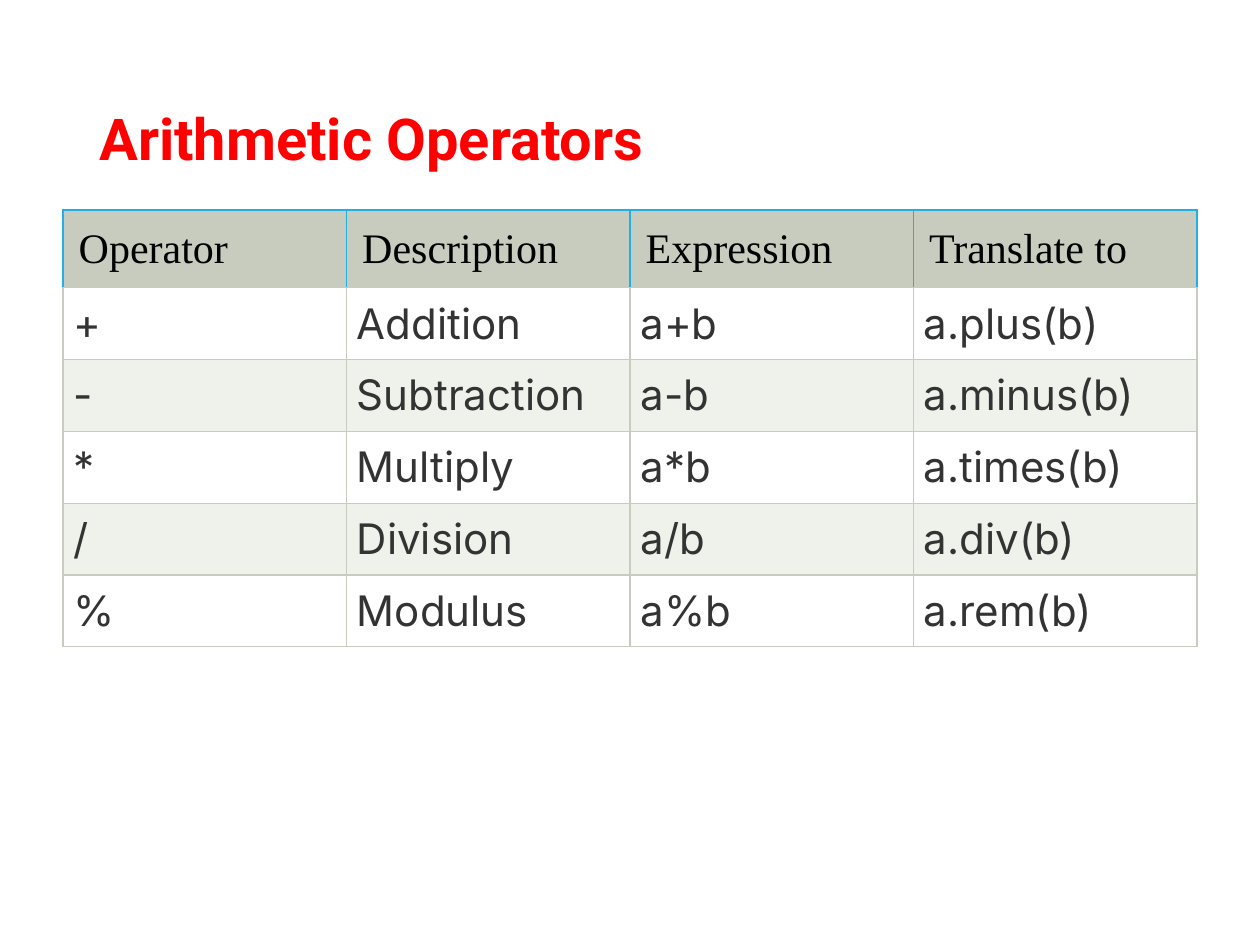
from dataclasses import dataclass

from lxml.etree import SubElement
from pptx import Presentation
from pptx.dml.color import RGBColor
from pptx.enum.text import MSO_ANCHOR as Anchor, PP_ALIGN as Align
from pptx.oxml.ns import qn
from pptx.slide import Slide
from pptx.table import _Cell as Cell
from pptx.util import Pt

RED = RGBColor(0xFF, 0x00, 0x00)
BLACK = RGBColor(0x00, 0x00, 0x00)
CHARCOAL = RGBColor(0x33, 0x33, 0x33)
WHITE = RGBColor(0xFF, 0xFF, 0xFF)
SAGE = RGBColor(0xC7, 0xCC, 0xBE)
PALE_SAGE = RGBColor(0xEF, 0xF1, 0xEB)
BLUE = RGBColor(0x20, 0xAF, 0xE9)


@dataclass(frozen=True)
class RowStyle:
    height: float
    inset: float
    font_name: str
    text_color: RGBColor
    fill: RGBColor
    border: RGBColor
    alignment: Align


HEADER = RowStyle(44.4, 9, "Times New Roman", BLACK, SAGE, BLUE, Align.LEFT)
PLAIN = RowStyle(41.04, 6, "Inter", CHARCOAL, WHITE, SAGE, Align.JUSTIFY)
BANDED = RowStyle(41.04, 6, "Inter", CHARCOAL, PALE_SAGE, SAGE, Align.JUSTIFY)

OPERATORS = [
    ("Operator", "Description", "Expression", "Translate to"),
    ("+", "Addition", "a+b", "a.plus(b)"),
    ("-", "Subtraction", "a-b", "a.minus(b)"),
    ("*", "Multiply", "a*b", "a.times(b)"),
    ("/", "Division", "a/b", "a.div(b)"),
    ("%", "Modulus", "a%b", "a.rem(b)"),
]
COLUMN_WIDTH = 162


def row_style(index: int) -> RowStyle:
    if index == 0:
        return HEADER
    return PLAIN if index % 2 else BANDED


def add_borders(cell: Cell, style: RowStyle) -> None:
    properties = cell._tc.get_or_add_tcPr()
    sides = {"L": style.border, "R": style.border, "T": style.border, "B": SAGE}
    for side, color in sides.items():
        line = SubElement(properties, qn(f"a:ln{side}"), w=str(Pt(0.75)))
        fill = SubElement(line, qn("a:solidFill"))
        SubElement(fill, qn("a:srgbClr"), val=str(color))


def format_cell(cell: Cell, text: str, style: RowStyle) -> None:
    add_borders(cell, style)
    cell.fill.solid()
    cell.fill.fore_color.rgb = style.fill
    cell.margin_left = cell.margin_right = Pt(style.inset)
    cell.margin_top = cell.margin_bottom = Pt(style.inset)
    cell.vertical_anchor = Anchor.TOP
    cell.text = text
    paragraph = cell.text_frame.paragraphs[0]
    paragraph.alignment = style.alignment
    paragraph.font.name = style.font_name
    paragraph.font.size = Pt(24)
    paragraph.font.bold = False
    paragraph.font.color.rgb = style.text_color


def add_title(slide: Slide, text: str) -> None:
    title = slide.shapes.title
    title.left, title.top = Pt(49.5), Pt(28.75)
    title.width, title.height = Pt(621), Pt(104.4)
    title.text_frame.text = text
    title.text_frame.vertical_anchor = Anchor.MIDDLE
    paragraph = title.text_frame.paragraphs[0]
    paragraph.alignment = Align.LEFT
    paragraph.line_spacing = 0.9
    paragraph.font.name = "Roboto"
    paragraph.font.size = Pt(33)
    paragraph.font.bold = True
    paragraph.font.color.rgb = RED


def add_operator_table(slide: Slide) -> None:
    styles = [row_style(index) for index in range(len(OPERATORS))]
    columns = len(OPERATORS[0])
    table = slide.shapes.add_table(
        len(OPERATORS), columns, Pt(36), Pt(120),
        Pt(COLUMN_WIDTH * columns), Pt(sum(style.height for style in styles)),
    ).table
    for column in table.columns:
        column.width = Pt(COLUMN_WIDTH)
    for row, texts, style in zip(table.rows, OPERATORS, styles):
        row.height = Pt(style.height)
        for cell, text in zip(row.cells, texts):
            format_cell(cell, text, style)


def main() -> None:
    presentation = Presentation()
    presentation.slide_width, presentation.slide_height = Pt(720), Pt(540)
    slide = presentation.slides.add_slide(presentation.slide_layouts[5])
    add_title(slide, "Arithmetic Operators")
    add_operator_table(slide)
    presentation.save("out.pptx")


if __name__ == "__main__":
    main()
